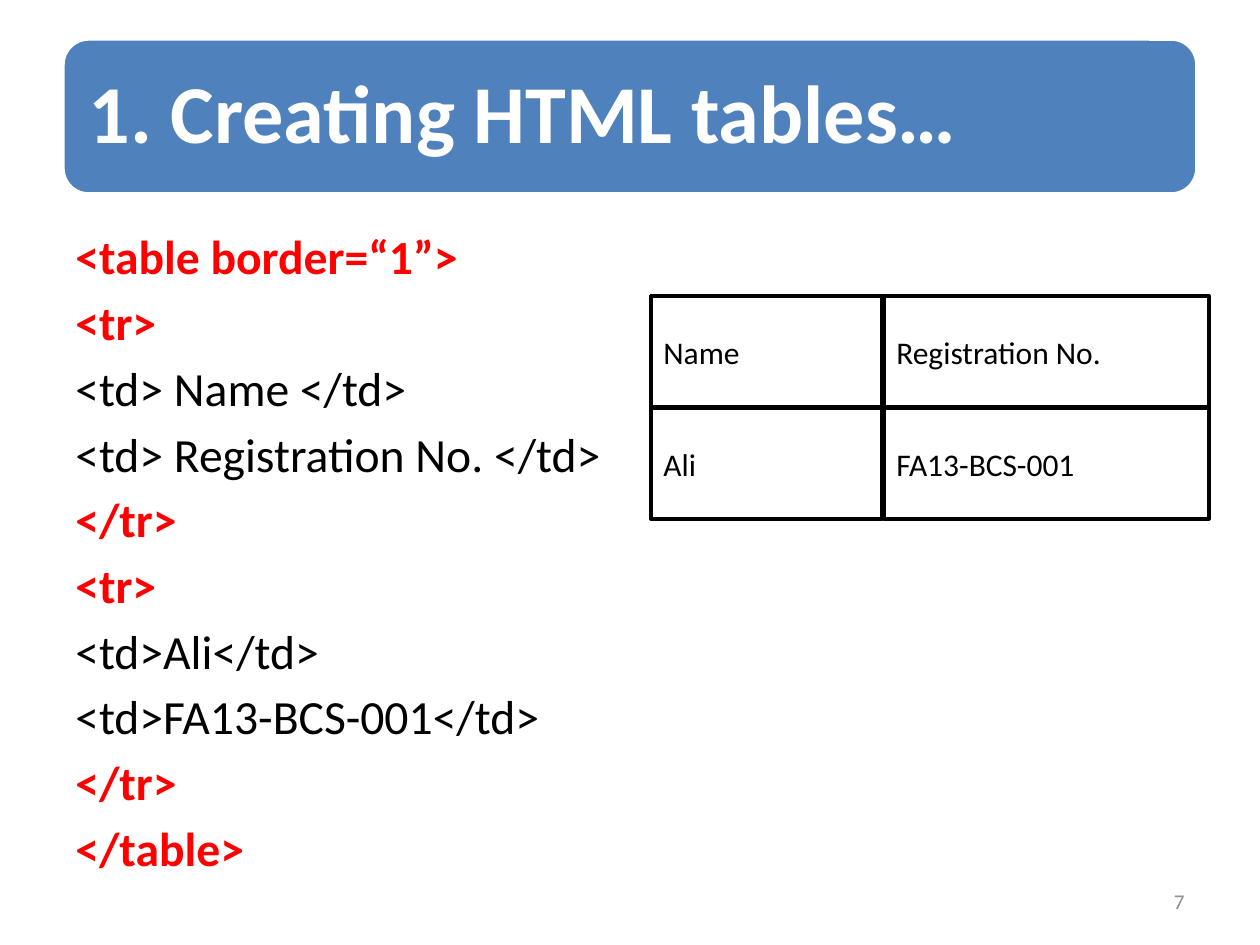
from pptx import Presentation
from pptx.dml.color import RGBColor
from pptx.enum.shapes import MSO_SHAPE
from pptx.enum.text import MSO_ANCHOR, PP_ALIGN
from pptx.util import Emu, Pt

PX_PER_INCH = 126
FONT = "Calibri"
RECTANGLE = MSO_SHAPE.RECTANGLE
ROUNDED = MSO_SHAPE.ROUNDED_RECTANGLE
MIDDLE = MSO_ANCHOR.MIDDLE
RIGHT = PP_ALIGN.RIGHT
LEFT = PP_ALIGN.LEFT
COLORS = {
    "white": "FFFFFF",
    "black": "000000",
    "banner": "4F81BD",
    "tag": "FF0000",
    "number": "8C8C8C",
}
CODE_LINES = [
    ("<table border=“1”>", True),
    ("<tr>", True),
    ("<td> Name </td>", False),
    ("<td> Registration No. </td>", False),
    ("</tr>", True),
    ("<tr>", True),
    ("<td>Ali</td>", False),
    ("<td>FA13-BCS-001</td>", False),
    ("</tr>", True),
    ("</table>", True),
]
CELL_ROWS = [("Name", "Registration No."), ("Ali", "FA13-BCS-001")]
CELL_COLUMNS = [(651, 231), (884, 325)]
GRID_TOP, ROW_PITCH, CELL_HEIGHT = 296, 112, 111


def px(length):
    """Turn pixels into EMU."""
    return Emu(round(length * 914400 / PX_PER_INCH))


def rgb(name):
    """Look up a named colour."""
    return RGBColor.from_string(COLORS[name])


def write(paragraph, text, size, color, bold=False, align=LEFT):
    """Fill a paragraph with one formatted run."""
    paragraph.text = text
    paragraph.alignment = align
    font = paragraph.runs[0].font
    font.name = FONT
    font.size = Pt(size)
    font.bold = bold
    font.color.rgb = rgb(color)


def add_box(slide, kind, box, fill, line):
    """Add a filled and outlined shape."""
    shape = slide.shapes.add_shape(kind, *map(px, box))
    shape.shadow.inherit = False
    shape.fill.solid()
    shape.fill.fore_color.rgb = rgb(fill)
    shape.line.color.rgb = rgb(line)
    shape.line.width = Pt(2)
    shape.text_frame.word_wrap = True
    shape.text_frame.vertical_anchor = MIDDLE
    return shape


def add_text_box(slide, box):
    """Add a wrapping text box and return its text frame."""
    text_frame = slide.shapes.add_textbox(*map(px, box)).text_frame
    text_frame.word_wrap = True
    return text_frame


def add_title(slide):
    """Add the title banner."""
    banner = add_box(slide, ROUNDED, (63, 39, 1134, 155), "banner", "white")
    banner.text_frame.margin_left = px(18)
    paragraph = banner.text_frame.paragraphs[0]
    write(paragraph, "1. Creating HTML tables…", 47, "white", bold=True)
    paragraph.line_spacing = 0.9


def add_code(slide):
    """Add the HTML listing with its structural tags highlighted."""
    text_frame = add_text_box(slide, (63, 221, 1134, 624))
    for index, (text, is_tag) in enumerate(CODE_LINES):
        paragraph = text_frame.add_paragraph() if index else text_frame.paragraphs[0]
        write(paragraph, text, 27.2, "tag" if is_tag else "black", bold=is_tag)
        if index:
            paragraph.space_before = Pt(4.9)


def add_rendered_table(slide):
    """Add the boxes that show how a browser draws the HTML table."""
    add_box(slide, RECTANGLE, (651, GRID_TOP, 557, CELL_HEIGHT), "white", "black")
    for row, texts in enumerate(CELL_ROWS):
        top = GRID_TOP + row * ROW_PITCH
        for (left, width), text in zip(CELL_COLUMNS, texts):
            cell = add_box(slide, RECTANGLE, (left, top, width, CELL_HEIGHT), "white", "black")
            write(cell.text_frame.paragraphs[0], text, 18, "black")


def add_slide_number(slide):
    """Add the slide number."""
    text_frame = add_text_box(slide, (903, 876, 294, 50))
    text_frame.vertical_anchor = MIDDLE
    write(text_frame.paragraphs[0], "7", 12, "number", align=RIGHT)


def main():
    """Build and save the slide."""
    presentation = Presentation()
    presentation.slide_width = px(1260)
    presentation.slide_height = px(945)
    slide = presentation.slides.add_slide(presentation.slide_layouts[6])
    add_title(slide)
    add_code(slide)
    add_slide_number(slide)
    add_rendered_table(slide)
    presentation.save("out.pptx")


if __name__ == "__main__":
    main()
